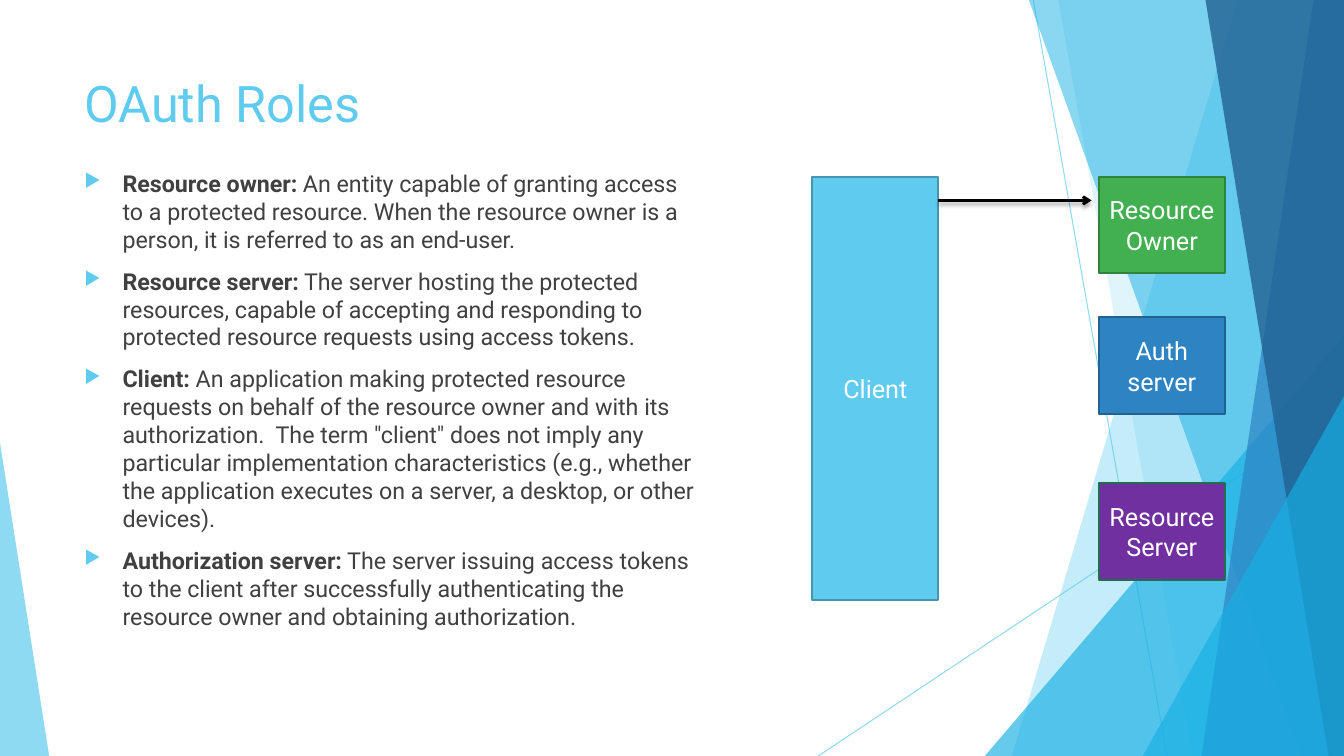
from lxml.etree import SubElement
from pptx import Presentation
from pptx.dml.color import RGBColor
from pptx.enum.shapes import MSO_CONNECTOR as CONN, MSO_SHAPE as SHAPE
from pptx.enum.text import MSO_ANCHOR as ANCHOR, PP_ALIGN as ALIGN
from pptx.oxml.ns import qn
from pptx.util import Cm, Pt

WIDTH, HEIGHT = 33.87, 19.05
SKY, CYAN, BLUE, NAVY = "5FCBEF", "17B0E4", "2E83C3", "226292"


def rgb(value):
    """Turn a hex string into a colour."""
    return RGBColor.from_string(value)


def add(parent, tag, **attrs):
    """Append a DrawingML element with the given attributes."""
    return SubElement(parent, qn(tag), {k: str(v) for k, v in attrs.items()})


def set_alpha(el, percent):
    """Make the first solid colour inside an element translucent."""
    color = next(el.iter(qn("a:srgbClr")))
    add(color, "a:alpha", val=percent * 1000)


class Deck:
    """Holds the style and the current slide."""

    font, text, accent = "Roboto", "404040", SKY

    def __init__(self, prs):
        """Start a blank slide."""
        self.shapes = prs.slides.add_slide(prs.slide_layouts[6]).shapes

    def style(self, p, size, color):
        """Set the font of a whole paragraph."""
        p.font.name, p.font.size = self.font, Pt(size)
        p.font.color.rgb = rgb(color)

    def paint(self, s, fill, alpha=100):
        """Give a shape a flat fill without outline or shadow."""
        s.shadow.inherit = False
        s.fill.solid()
        s.fill.fore_color.rgb = rgb(fill)
        s.line.fill.background()
        if alpha < 100:
            set_alpha(s.element.spPr, alpha)

    def band(self, top_x, bottom_x, fill, alpha):
        """Draw a full-height band from a slanted edge to the right side."""
        corners = [(WIDTH, 0), (WIDTH, HEIGHT), (bottom_x, HEIGHT)]
        fb = self.shapes.build_freeform(Cm(top_x), 0)
        fb.add_line_segments([(Cm(x), Cm(y)) for x, y in corners])
        self.paint(fb.convert_to_shape(), fill, alpha)

    def triangle(self, x, y, w, apex, fill, alpha):
        """Draw a triangle standing on the bottom edge of the slide."""
        s = self.shapes.add_shape(SHAPE.ISOSCELES_TRIANGLE,
                                  Cm(x), Cm(y), Cm(w), Cm(HEIGHT - y))
        s.adjustments[0] = apex
        self.paint(s, fill, alpha)

    def line(self, x1, y1, x2, y2, color, width):
        """Draw a straight line and return it with its empty effect list."""
        s = self.shapes.add_connector(CONN.STRAIGHT, Cm(x1), Cm(y1), Cm(x2), Cm(y2))
        s.line.width = Pt(width)
        s.line.color.rgb = rgb(color)
        return s, add(s.element.spPr, "a:effectLst")

    def thin_line(self, *ends):
        """Draw a translucent decorative line."""
        s, _ = self.line(*ends, SKY, 0.75)
        set_alpha(s.element.spPr, 70)

    def arrow(self, *ends):
        """Draw a black arrow with a soft shadow below it."""
        s, effects = self.line(*ends, "000000", 2)
        add(s.element.spPr.find(qn("a:ln")), "a:tailEnd", type="arrow")
        shadow = add(effects, "a:outerShdw", blurRad=Pt(3), dist=Pt(2),
                     dir=5400000, rotWithShape=0)
        add(shadow, "a:srgbClr", val="000000")
        set_alpha(shadow, 35)

    def box(self, label, x, y, h, fill, outline):
        """Draw a labelled role box."""
        s = self.shapes.add_shape(SHAPE.RECTANGLE, Cm(x), Cm(y), Cm(3.18), Cm(h))
        self.paint(s, fill)
        s.line.color.rgb = rgb(outline)
        s.line.width = Pt(1.5)
        tf = s.text_frame
        tf.word_wrap = True
        tf.vertical_anchor = ANCHOR.MIDDLE
        tf.margin_left = tf.margin_right = Cm(0.2)
        p = tf.paragraphs[0]
        p.text, p.alignment = label, ALIGN.CENTER
        self.style(p, 18, "FFFFFF")

    def text_box(self, x, y, w, h):
        """Add a wrapping text box and return its text frame."""
        tf = self.shapes.add_textbox(Cm(x), Cm(y), Cm(w), Cm(h)).text_frame
        tf.word_wrap = True
        return tf

    def title(self, text, *area):
        """Write the slide title."""
        p = self.text_box(*area).paragraphs[0]
        p.text = text
        self.style(p, 36, self.accent)

    def bullets(self, items, *area):
        """Write a bulleted list of bold terms with their definitions."""
        tf = self.text_box(*area)
        for i, (term, definition) in enumerate(items):
            p = tf.add_paragraph() if i else tf.paragraphs[0]
            p.space_before = Pt(10)
            pPr = p._p.get_or_add_pPr()
            pPr.set("marL", str(Cm(0.96)))
            pPr.set("indent", str(-Cm(0.96)))
            add(add(pPr, "a:buClr"), "a:srgbClr", val=self.accent)
            add(pPr, "a:buSzPct", val=80000)
            add(pPr, "a:buChar", char="▶")
            self.style(p, 16.6, self.text)
            for text, bold in ((term + ":", True), (" " + definition, False)):
                r = p.add_run()
                r.text, r.font.bold = text, bold


ROLES = [
    ("Resource owner",
     "An entity capable of granting access to a protected resource. When the "
     "resource owner is a person, it is referred to as an end-user."),
    ("Resource server",
     "The server hosting the protected resources, capable of accepting and "
     "responding to protected resource requests using access tokens."),
    ("Client",
     "An application making protected resource requests on behalf of the resource "
     "owner and with its authorization.  The term \"client\" does not imply any "
     "particular implementation characteristics (e.g., whether the application "
     "executes on a server, a desktop, or other devices)."),
    ("Authorization server",
     "The server issuing access tokens to the client after successfully "
     "authenticating the resource owner and obtaining authorization."),
]
SERVERS = [
    ("Resource Owner", 4.45, "42B051", "31823C"),
    ("Auth server", 8, BLUE, "226190"),
    ("Resource Server", 12.17, "7030A0", "226D4F"),
]

prs = Presentation()
prs.slide_width, prs.slide_height = Cm(WIDTH), Cm(HEIGHT)
deck = Deck(prs)

deck.thin_line(26.04, 0, 29.41, HEIGHT)
deck.thin_line(WIDTH, 10.24, 20.62, HEIGHT)
deck.band(31.19, 25.5, SKY, 36)
deck.band(26.67, 30.05, SKY, 20)
deck.triangle(24.82, 8.46, WIDTH - 24.82, 1, CYAN, 66)
deck.band(25.93, 32.79, CYAN, 50)
deck.band(33.1, 30.28, BLUE, 70)
deck.band(30.38, 33.48, NAVY, 80)
deck.triangle(28.8, 9.98, WIDTH - 28.8, 1, CYAN, 66)
deck.triangle(0, 11.15, 1.24, 0, SKY, 70)

deck.title("OAuth Roles", 1.88, 1.7, 23.88, 3.66)
deck.bullets(ROLES, 1.88, 4.14, 15.9, 12.17)
deck.box("Client", 20.47, 4.45, 10.67, SKY, "4696B1")
for label, y, fill, outline in SERVERS:
    deck.box(label, 27.69, y, 2.44, fill, outline)
deck.arrow(23.65, 5.05, 27.51, 5.05)

prs.save("out.pptx")
